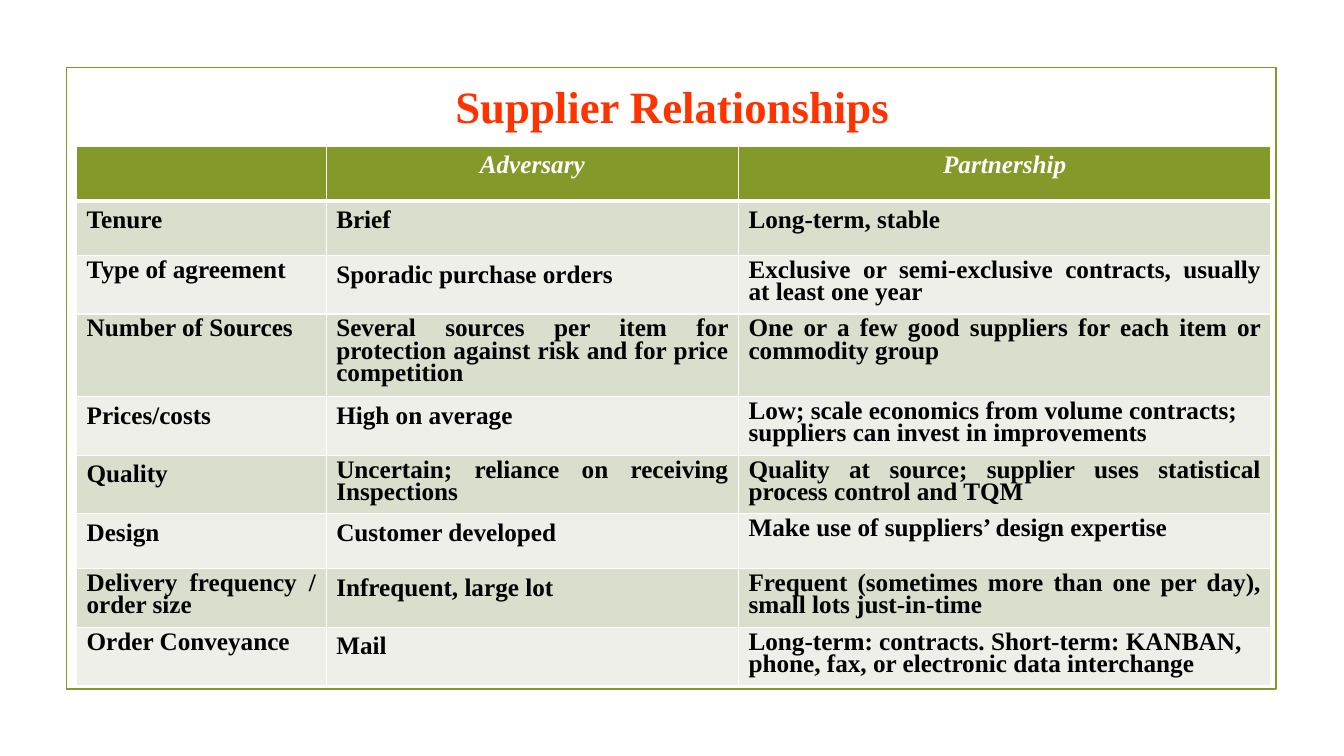
from pptx import Presentation
from pptx.dml.color import RGBColor as Rgb
from pptx.enum.shapes import MSO_SHAPE as Shape
from pptx.enum.text import MSO_ANCHOR as Anchor, PP_ALIGN as Align
from pptx.oxml import parse_xml
from pptx.oxml.ns import nsdecls
from pptx.util import Cm, Pt

TITLE = "Supplier Relationships"
HEAD = ("", "Adversary", "Partnership")
ROWS = [
    (("Tenure", "plain"), ("Brief", "plain"), ("Long-term, stable", "plain")),
    (("Type of agreement", "tight"), ("Sporadic purchase orders", "plain"),
     ("Exclusive or semi-exclusive contracts, usually at least one year", "full")),
    (("Number of Sources", "full"),
     ("Several sources per item for protection against risk and for price competition", "full"),
     ("One or a few good suppliers for each item or commodity group", "full")),
    (("Prices/costs", "plain"), ("High on average", "plain"),
     ("Low; scale economics from volume contracts; suppliers can invest in improvements", "tight")),
    (("Quality", "plain"), ("Uncertain; reliance on receiving Inspections", "full"),
     ("Quality at source; supplier uses statistical process control and TQM", "full")),
    (("Design", "plain"), ("Customer developed", "plain"),
     ("Make use of suppliers’ design expertise", "tight")),
    (("Delivery frequency / order size", "full"), ("Infrequent, large lot", "plain"),
     ("Frequent (sometimes more than one per day), small lots just-in-time", "full")),
    (("Order Conveyance", "tight"), ("Mail", "plain"),
     ("Long-term: contracts. Short-term: KANBAN, phone, fax, or electronic data interchange", "tight")),
]
STYLES = {
    "head": (Align.CENTER, None),
    "plain": (Align.LEFT, None),
    "tight": (Align.LEFT, 0.8),
    "full": (Align.JUSTIFY, 0.8),
}
THEME = {
    "font": "Times New Roman", "title": "FF3300", "green": "83992A",
    "bands": ("D9DECD", "EDEFE8"), "ink": "000000", "white": "FFFFFF",
    "big": 32, "body": 18, "frame": 1.25, "rule": 1, "thick": 3,
}
COLS = (6.29, 10.39, 13.42)
HIGH = 1.38


def write(para, text, size, color, style, slant=False):
    para.text = text
    para.alignment, space = STYLES[style]
    if space:
        para.line_spacing = space
    font = para.font
    for run in para.runs:
        font = run.font
        font.name, font.size, font.bold = THEME["font"], Pt(size), True
        font.italic = slant
        font.color.rgb = Rgb.from_string(color)


def rule(cell, row):
    widths = {"L": THEME["rule"], "R": THEME["rule"],
              "T": THEME["thick" if row == 1 else "rule"],
              "B": THEME["thick" if row == 0 else "rule"]}
    props = cell._tc.get_or_add_tcPr()
    for spot, (side, width) in enumerate(widths.items()):
        props.insert(spot, parse_xml(
            f'<a:ln{side} {nsdecls("a")} w="{Pt(width)}"><a:solidFill>'
            f'<a:srgbClr val="{THEME["white"]}"/></a:solidFill></a:ln{side}>'))


def frame(slide):
    box = slide.shapes.add_shape(Shape.RECTANGLE, Cm(1.68), Cm(1.7), Cm(30.48), Cm(15.67))
    box.shadow.inherit = False
    box.fill.background()
    box.line.color.rgb = Rgb.from_string(THEME["green"])
    box.line.width = Pt(THEME["frame"])


def title(slide):
    text = slide.shapes.add_textbox(Cm(3.61), Cm(1.83), Cm(26.67), Cm(1.68)).text_frame
    text.word_wrap = True
    text.vertical_anchor = Anchor.MIDDLE
    write(text.paragraphs[0], TITLE, THEME["big"], THEME["title"], "head")


def grid(slide):
    rows = [[(text, "head") for text in HEAD], *ROWS]
    table = slide.shapes.add_table(len(rows), len(COLS), Cm(1.93), Cm(3.68),
                                   Cm(sum(COLS)), Cm(HIGH * len(rows))).table
    for col, wide in zip(table.columns, COLS):
        col.width = Cm(wide)
    for r, row in enumerate(rows):
        table.rows[r].height = Cm(HIGH)
        fill = THEME["bands"][(r - 1) % 2] if r else THEME["green"]
        ink = THEME["ink"] if r else THEME["white"]
        for c, (text, style) in enumerate(row):
            cell = table.cell(r, c)
            cell.fill.solid()
            cell.fill.fore_color.rgb = Rgb.from_string(fill)
            write(cell.text_frame.paragraphs[0], text, THEME["body"], ink, style, r == 0)
            rule(cell, r)


def main():
    deck = Presentation()
    deck.slide_width, deck.slide_height = Cm(33.87), Cm(19.05)
    slide = deck.slides.add_slide(deck.slide_layouts[6])
    frame(slide)
    title(slide)
    grid(slide)
    deck.save("out.pptx")


if __name__ == "__main__":
    main()
